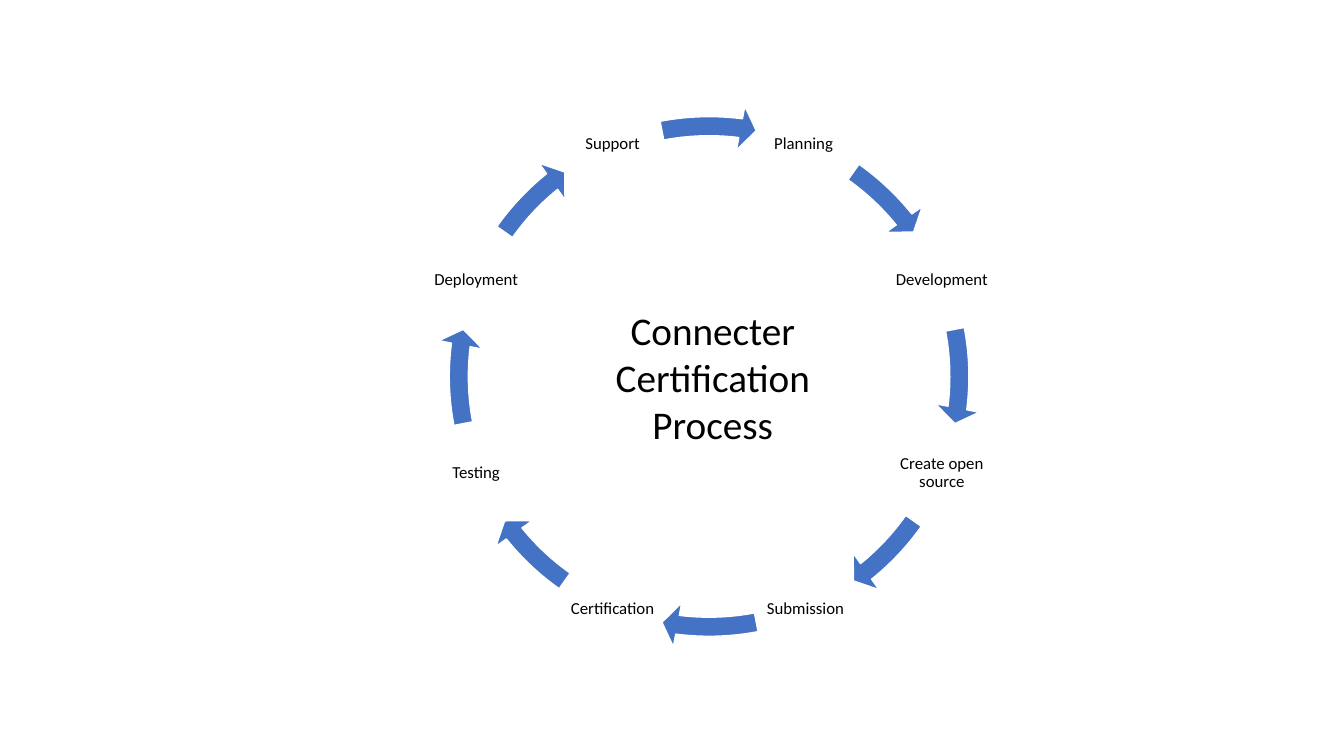
from dataclasses import dataclass
from math import cos, radians, sin

from pptx import Presentation
from pptx.dml.color import RGBColor
from pptx.enum import shapes, text
from pptx.util import Pt


@dataclass(frozen=True)
class Theme:
    """Colours, font and type sizes."""
    ink: RGBColor = RGBColor(0x00, 0x00, 0x00)
    arrow: RGBColor = RGBColor(0x44, 0x72, 0xC4)
    edge: RGBColor = RGBColor(0xFF, 0xFF, 0xFF)
    font: str = "Calibri"
    title: float = 28
    label: float = 12


@dataclass(frozen=True)
class Ring:
    """Geometry of the cycle, in points."""
    x: float = 506.5
    y: float = 268.9
    radius: float = 180
    label: float = 69.8
    arrow: float = 389.5


@dataclass(frozen=True)
class Step:
    """A stage and the start and end angles of the arrow after it."""
    name: str
    angle: float
    start: float
    end: float


THEME = Theme()
RING = Ring()
NAMES = ("Planning ", "Development", "Create open source", "Submission",
         "Certification", "Testing", "Deployment", "Support")
ARCS = ((305.24, 321.15), (349.14, 367.24))


def make_steps() -> list[Step]:
    """Place the stages 45 degrees apart, with arcs repeating each quarter."""
    steps = []
    for i, name in enumerate(NAMES):
        quarter, half = divmod(i, 2)
        start, end = ((a + 90 * quarter) % 360 for a in ARCS[half])
        steps.append(Step(name, -67.5 + 45 * i, start, end))
    return steps


def add_text(slide, content: str, left: float, top: float, width: float,
             height: float, *, size: float, inset: float | None = None,
             spacing: float | None = None,
             anchor=text.MSO_ANCHOR.TOP, fit=text.MSO_AUTO_SIZE.NONE) -> None:
    """Add a centred, wrapping text box."""
    sp = slide.shapes.add_textbox(Pt(left), Pt(top), Pt(width), Pt(height))
    tf = sp.text_frame
    tf.word_wrap = True
    tf.auto_size = fit
    tf.vertical_anchor = anchor
    if inset is not None:
        tf.margin_left = tf.margin_right = Pt(inset)
        tf.margin_top = tf.margin_bottom = Pt(inset)
    p = tf.paragraphs[0]
    p.alignment = text.PP_ALIGN.CENTER
    p.line_spacing = spacing
    r = p.add_run()
    r.text = content
    r.font.name = THEME.font
    r.font.size = Pt(size)
    r.font.color.rgb = THEME.ink


def add_label(slide, step: Step) -> None:
    """Add the name of a stage on the ring."""
    a, side = radians(step.angle), RING.label
    add_text(slide, step.name,
             RING.x + RING.radius * cos(a) - side / 2,
             RING.y + RING.radius * sin(a) - side / 2, side, side,
             size=THEME.label, inset=1.2, spacing=0.9,
             anchor=text.MSO_ANCHOR.MIDDLE)


def add_arrow(slide, step: Step) -> None:
    """Add the curved arrow that leads to the next stage."""
    side = RING.arrow
    sp = slide.shapes.add_shape(
        shapes.MSO_SHAPE.CIRCULAR_ARROW, Pt(RING.x - side / 2),
        Pt(RING.y - side / 2), Pt(side), Pt(side))
    per_degree = 0.6
    values = (0.035, 3.62 * per_degree, step.end * per_degree,
              step.start * per_degree, 0.041)
    for i, value in enumerate(values):
        sp.adjustments[i] = value
    sp.shadow.inherit = False
    sp.fill.solid()
    sp.fill.fore_color.rgb = THEME.arrow
    sp.line.color.rgb = THEME.edge
    sp.line.width = Pt(1)


def main() -> None:
    """Build the slide and save it."""
    prs = Presentation()
    prs.slide_width, prs.slide_height = Pt(960), Pt(540)
    slide = prs.slides.add_slide(prs.slide_layouts[6])
    for step in make_steps():
        add_label(slide, step)
        add_arrow(slide, step)
    add_text(slide, "Connecter Certification Process", 427, 215.3, 164.2, 108.7,
             size=THEME.title, fit=text.MSO_AUTO_SIZE.SHAPE_TO_FIT_TEXT)
    prs.save("out.pptx")


if __name__ == "__main__":
    main()
